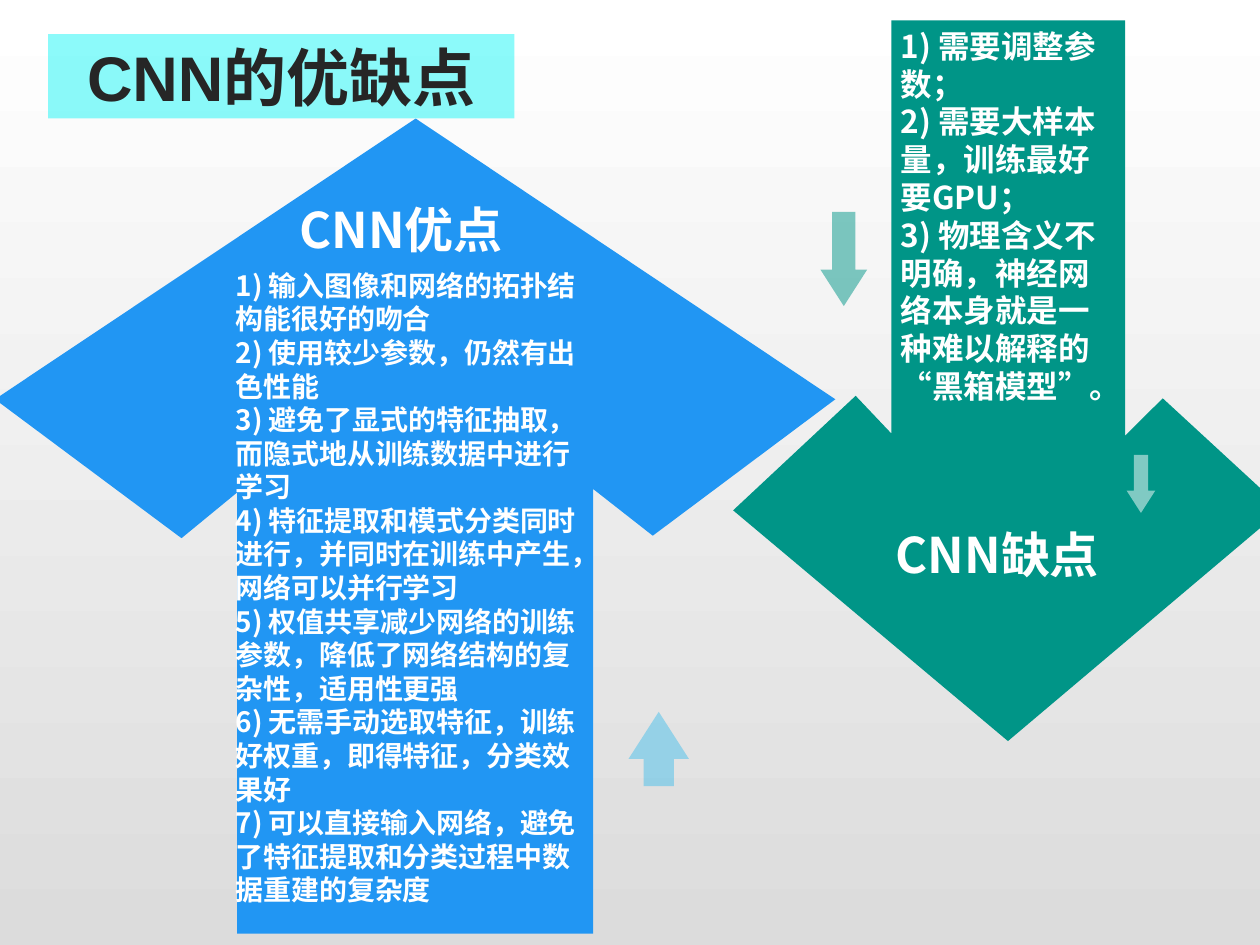
from lxml import etree
from pptx import Presentation
from pptx.dml.color import RGBColor
from pptx.enum.shapes import MSO_SHAPE
from pptx.enum.text import MSO_ANCHOR, PP_ALIGN
from pptx.oxml.ns import qn
from pptx.util import Cm, Pt

RECTANGLE, UP_ARROW = MSO_SHAPE.RECTANGLE, MSO_SHAPE.UP_ARROW
LEFT, CENTER = PP_ALIGN.LEFT, PP_ALIGN.CENTER
TOP, MIDDLE = MSO_ANCHOR.TOP, MSO_ANCHOR.MIDDLE

THEME = {
    "background": ("FFFFFF", "DCDCDC"),
    "blue": "2196F3", "green": "009587", "cyan": "00F6F6", "sky": "00B0F0",
    "white": "FFFFFF", "dark": "262626",
    "latin": "Arial", "chinese": "Noto Sans CJK SC",
    "title": 36, "heading": 28, "advantages": 16, "drawbacks": 18,
}

TITLE = "CNN的优缺点"
ADVANTAGES = [
    "输入图像和网络的拓扑结构能很好的吻合",
    "使用较少参数，仍然有出色性能",
    "避免了显式的特征抽取，而隐式地从训练数据中进行学习",
    "特征提取和模式分类同时进行，并同时在训练中产生，网络可以并行学习",
    "权值共享减少网络的训练参数，降低了网络结构的复杂性，适用性更强",
    "无需手动选取特征，训练好权重，即得特征，分类效果好",
    "可以直接输入网络，避免了特征提取和分类过程中数据重建的复杂度",
]
DRAWBACKS = [
    "需要调整参数；",
    "需要大样本量，训练最好要GPU；",
    "物理含义不明确，神经网络本身就是一种难以解释的 “黑箱模型”。",
]

# All positions and sizes are in centimetres.
BIG_ARROWS = [
    ("blue", [(8.38, 2.39), (16.84, 8.05), (13.16, 10.8), (11.96, 9.86), (11.96, 18.82),
              (4.78, 18.82), (4.78, 9.93), (3.66, 10.85), (-0.1, 8.05)]),
    ("green", [(17.97, 0.41), (22.68, 0.41), (22.68, 8.79), (23.44, 8.03), (25.86, 10.26),
               (20.32, 14.94), (14.78, 10.29), (17.25, 7.98), (17.97, 8.74)]),
]
# box, colour, opacity in percent, rotation
SMALL_ARROWS = [
    ((16.54, 4.27, 0.94, 1.9), "green", 50, 180),
    ((22.71, 9.17, 0.58, 1.17), "white", 50, 180),
    ((12.67, 14.35, 1.22, 1.5), "sky", 34, 0),
]
TITLE_BOX = (0.97, 0.69, 9.4, 1.7)
# box, text size, top and bottom inset, lines
HEADINGS = [
    ((2.51, 3.78, 11.15, 1.63), "CNN优点"),
    ((17.35, 10.34, 5.51, 1.4), "CNN缺点"),
]
LISTS = [
    ((4.5, 5.41, 7.72, 12.65), "advantages", (0, 0.1), ADVANTAGES),
    ((17.91, 0.41, 4.83, 10.49), "drawbacks", (0.13, 0), DRAWBACKS),
]


def color(name):
    return RGBColor.from_string(THEME[name])


def paint(shape, name, opacity=100):
    shape.shadow.inherit = False
    shape.fill.solid()
    shape.fill.fore_color.rgb = color(name)
    shape.line.fill.background()
    if opacity < 100:
        tint = shape.fill._xPr.find(qn("a:solidFill"))[0]
        etree.SubElement(tint, qn("a:alpha"), val=str(opacity * 1000))


def write(shape, lines, size, ink="white", font="chinese", align=LEFT,
          spacing=1.0, insets=(0, 0.13), anchor=TOP):
    frame = shape.text_frame
    frame.word_wrap = True
    frame.vertical_anchor = anchor
    frame.margin_left = frame.margin_right = Cm(0.25)
    frame.margin_top, frame.margin_bottom = map(Cm, insets)
    for index, line in enumerate(lines):
        paragraph = frame.add_paragraph() if index else frame.paragraphs[0]
        paragraph.alignment = align
        paragraph.line_spacing = spacing
        run = paragraph.add_run()
        run.text = line
        run.font.size = Pt(THEME[size])
        run.font.bold = True
        run.font.name = THEME[font]
        run.font.color.rgb = color(ink)
        etree.SubElement(run.font._element, qn("a:ea"), typeface=THEME["chinese"])


def add_big_arrow(slide, name, points):
    corners = [(Cm(x), Cm(y)) for x, y in points]
    builder = slide.shapes.build_freeform(*corners[0])
    builder.add_line_segments(corners[1:], close=True)
    paint(builder.convert_to_shape(), name)


def main():
    presentation = Presentation()
    presentation.slide_width, presentation.slide_height = Cm(25.4), Cm(19.05)
    slide = presentation.slides.add_slide(presentation.slide_layouts[6])
    background = slide.background.fill
    background.gradient()
    background.gradient_angle = 270
    for stop, value in zip(background.gradient_stops, THEME["background"]):
        stop.color.rgb = RGBColor.from_string(value)

    for name, points in BIG_ARROWS:
        add_big_arrow(slide, name, points)

    for box, heading in HEADINGS:
        write(slide.shapes.add_textbox(*map(Cm, box)), [heading], "heading",
              align=CENTER, spacing=1.2)
    for box, size, insets, items in LISTS:
        lines = [f"{number}) {item}" for number, item in enumerate(items, 1)]
        write(slide.shapes.add_textbox(*map(Cm, box)), lines, size, insets=insets)

    for box, name, opacity, rotation in SMALL_ARROWS:
        arrow = slide.shapes.add_shape(UP_ARROW, *map(Cm, box))
        arrow.adjustments[0], arrow.adjustments[1] = 0.5, 0.78
        arrow.rotation = rotation
        paint(arrow, name, opacity)

    title = slide.shapes.add_shape(RECTANGLE, *map(Cm, TITLE_BOX))
    paint(title, "cyan", 45)
    write(title, [TITLE], "title", ink="dark", font="latin", align=CENTER,
          insets=(0.13, 0.13), anchor=MIDDLE)

    presentation.save("out.pptx")


if __name__ == "__main__":
    main()
